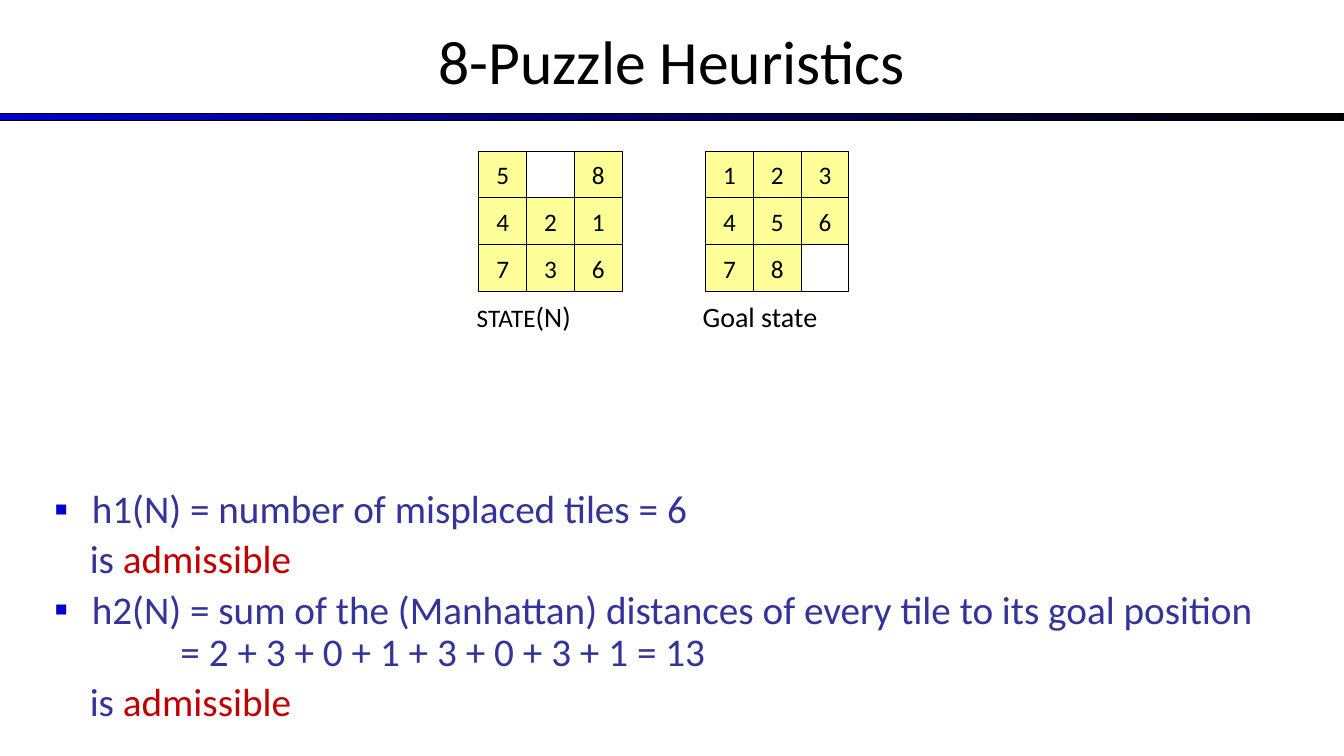
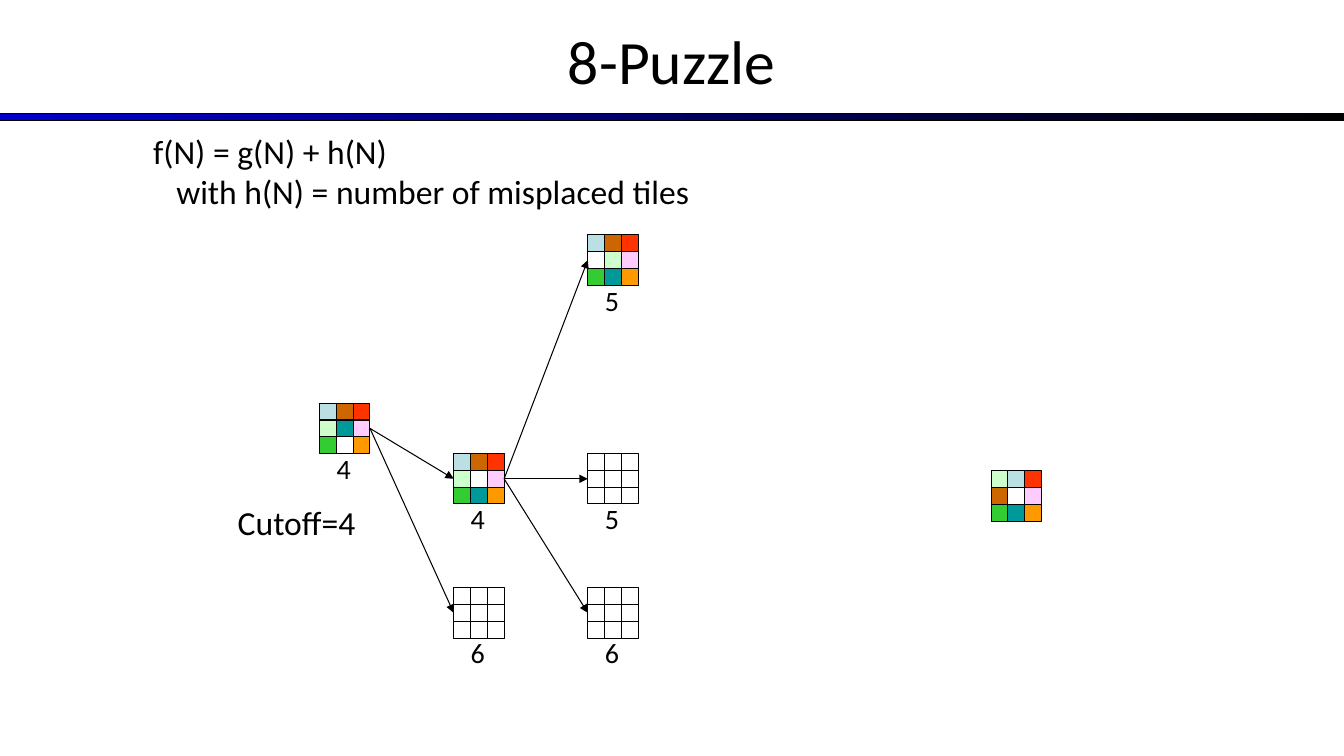
from lxml import etree
from pptx import Presentation
from pptx.dml.color import RGBColor
from pptx.enum.shapes import MSO_CONNECTOR, MSO_SHAPE
from pptx.enum.text import MSO_ANCHOR, MSO_AUTO_SIZE, PP_ALIGN
from pptx.oxml.ns import qn
from pptx.util import Inches, Pt

RECTANGLE = MSO_SHAPE.RECTANGLE
STRAIGHT = MSO_CONNECTOR.STRAIGHT
MIDDLE = MSO_ANCHOR.MIDDLE
CENTER = PP_ALIGN.CENTER
NO_AUTOFIT = MSO_AUTO_SIZE.NONE
LEFT_SIDE, RIGHT_SIDE = 1, 3


class Theme:
    font = "Calibri"
    black = RGBColor.from_string("000000")
    white = RGBColor.from_string("FFFFFF")
    blue = RGBColor.from_string("0000CC")
    indigo = RGBColor.from_string("333399")
    red = RGBColor.from_string("C00000")
    yellow = RGBColor.from_string("FFFF99")
    tiles = {
        "S": RGBColor.from_string("BBE0E3"),
        "B": RGBColor.from_string("CC6600"),
        "R": RGBColor.from_string("FF3300"),
        "M": RGBColor.from_string("CCFFCC"),
        "T": RGBColor.from_string("009999"),
        "P": RGBColor.from_string("FFCCFF"),
        "G": RGBColor.from_string("33CC33"),
        "O": RGBColor.from_string("FF9900"),
    }
    title_size = 44
    body_size = 28
    formula_size = 24
    label_size = 20
    tile_size = 18
    line_width = Pt(0.75)


def write(para, text, size=Theme.label_size, color=Theme.black):
    span = para.add_run()
    span.text = text
    span.font.name = Theme.font
    span.font.size = Pt(size)
    span.font.color.rgb = color


def draw_board(page, left, top, width, height, rows):
    """Draw a grouped board and return its tiles row by row.

    Digits are numbered tiles, letters are coloured tiles, a dot is the blank.
    """
    group = page.shapes.add_group_shape()
    tile_width, tile_height = width / 3, height / 3
    board = []
    for row, symbols in enumerate(rows):
        board.append([])
        for column, symbol in enumerate(symbols):
            tile = group.shapes.add_shape(
                RECTANGLE,
                Inches(left + column * tile_width), Inches(top + row * tile_height),
                Inches(tile_width), Inches(tile_height))
            tile.shadow.inherit = False
            tile.line.color.rgb = Theme.black
            tile.line.width = Theme.line_width
            tile.fill.solid()
            tile.fill.fore_color.rgb = Theme.tiles.get(symbol, Theme.white)
            if symbol.isdigit():
                tile.fill.fore_color.rgb = Theme.yellow
                tile.text_frame.vertical_anchor = MIDDLE
                para = tile.text_frame.paragraphs[0]
                para.alignment = CENTER
                write(para, symbol, size=Theme.tile_size)
            board[-1].append(tile)
    return board


deck = Presentation()
deck.slide_width, deck.slide_height = Inches(13.33), Inches(7.5)
content_layout, title_layout = deck.slide_layouts[1], deck.slide_layouts[5]

pages = []
for layout, heading in ((content_layout, "8-Puzzle Heuristics"), (title_layout, "8-Puzzle")):
    page = deck.slides.add_slide(layout)
    title = page.shapes.title
    title.left, title.top = Inches(0), Inches(-0.03)
    title.width, title.height = Inches(13.33), Inches(1.25)
    title.text_frame.vertical_anchor = MIDDLE
    para = title.text_frame.paragraphs[0]
    para.alignment = CENTER
    write(para, heading, size=Theme.title_size)
    pages.append(page)
heuristics_page, search_page = pages

# The band is moved to the master, so every page shows it.
band = heuristics_page.shapes.add_shape(
    RECTANGLE, Inches(0), Inches(1.13), Inches(13.33), Inches(0.07))
band.shadow.inherit = False
band.fill.gradient()
band.fill.gradient_angle = 0
for stop, color in zip(band.fill.gradient_stops, (Theme.blue, Theme.black)):
    stop.color.rgb = color
band.line.color.rgb = Theme.black
band.line.width = Theme.line_width
deck.slide_master.shapes.element.insert(2, band.element)

# Heuristics: two numbered boards and the list
for left, rows in ((4.75, ("5.8", "421", "736")), (7, ("123", "456", "78."))):
    draw_board(heuristics_page, left, 1.5, 1.42, 1.39, rows)

body = heuristics_page.placeholders[1]
body.left, body.top = Inches(0.44), Inches(4.81)
body.width, body.height = Inches(12.44), Inches(2.41)
frame = body.text_frame
frame.auto_size = NO_AUTOFIT
admissible = (("is ", Theme.indigo), ("admissible", Theme.red))
items = (
    # bullet, indent, space before, spans
    (True, 0.37, 0, (("h1(N) = number of misplaced tiles = 6", Theme.indigo),)),
    (False, 0.35, 5.6, admissible),
    (True, 0.37, 5.6, (("h2(N) = sum of the (Manhattan) distances of every tile "
                        "to its goal position", Theme.indigo),)),
    (False, 1.25, 0, (("= 2 + 3 + 0 + 1 + 3 + 0 + 3 + 1 = 13", Theme.indigo),)),
    (False, 0.35, 5.6, admissible),
)
for index, (bullet, indent, space, spans) in enumerate(items):
    para = frame.add_paragraph() if index else frame.paragraphs[0]
    properties = para._p.get_or_add_pPr()
    properties.set("marL", str(Inches(indent)))
    properties.set("indent", str(-Inches(indent) if bullet else 0))
    if bullet:
        bullet_color = etree.SubElement(properties, qn("a:buClr"))
        etree.SubElement(bullet_color, qn("a:srgbClr"), val=str(Theme.blue))
        etree.SubElement(properties, qn("a:buFont"), typeface=Theme.font)
        etree.SubElement(properties, qn("a:buChar"), char="▪")
    else:
        etree.SubElement(properties, qn("a:buNone"))
    para.line_spacing = 0.9
    para.space_before = Pt(space)
    for text, color in spans:
        write(para, text, size=Theme.body_size, color=color)

# Search: boards of the tree, each with its cost, joined to its parent
nodes = (
    # name, parent, left, top, cost, rows
    ("root", None, 3.17, 4, "4", ("SBR", "MTP", "G.O")),
    ("goal", None, 9.83, 4.67, None, ("MSR", "B.P", "GTO")),
    ("up", "root", 4.5, 4.5, "4", ("SBR", "M.P", "GTO")),
    ("left", "root", 4.5, 5.83, "6", ("...",) * 3),
    ("up down", "up", 5.83, 5.83, "6", ("...",) * 3),
    ("up right", "up", 5.83, 4.5, "5", ("...",) * 3),
    ("up left", "up", 5.83, 2.33, "5", ("SBR", ".MP", "GTO")),
)
labels = [
    # page, left, top, width, height, lines of (indent, spans of (text, size))
    (heuristics_page, 4.63, 2.92, 1.38, 0.43,
     [(0, [("STATE", Theme.tile_size), ("(N)", Theme.label_size)])]),
    (heuristics_page, 6.87, 2.92, 1.62, 0.43, [(0, [("Goal state", Theme.label_size)])]),
    (search_page, 2.26, 4.93, 1.7, 0.5, [(0, [("Cutoff=4", Theme.formula_size)])]),
    (search_page, 1.42, 1.25, 6.89, 0.9,
     [(0, [("f(N) = g(N) + h(N)", Theme.formula_size)]),
      (0.23, [("with h(N) = number of misplaced tiles", Theme.formula_size)])]),
]
boards = {}
for name, parent, left, top, cost, rows in nodes:
    boards[name] = draw_board(search_page, left, top, 0.5, 0.5, rows)
    if cost:
        labels.append((search_page, left + 0.07, top + 0.43, 0.37, 0.43,
                       [(0, [(cost, Theme.label_size)])]))
    if parent:
        arrow = search_page.shapes.add_connector(STRAIGHT, 0, 0, 0, 0)
        arrow.begin_connect(boards[parent][1][2], RIGHT_SIDE)
        arrow.end_connect(boards[name][1][0], LEFT_SIDE)
        arrow.line.color.rgb = Theme.black
        arrow.line.width = Theme.line_width
        properties = arrow.element.spPr
        etree.SubElement(properties.find(qn("a:ln")), qn("a:tailEnd"), type="triangle")
        etree.SubElement(properties, qn("a:effectLst"))

for page, left, top, width, height, lines in labels:
    box = page.shapes.add_textbox(Inches(left), Inches(top), Inches(width), Inches(height))
    frame = box.text_frame
    frame.word_wrap = True
    for index, (indent, spans) in enumerate(lines):
        para = frame.add_paragraph() if index else frame.paragraphs[0]
        if indent:
            para._p.get_or_add_pPr().set("marL", str(Inches(indent)))
        for text, size in spans:
            write(para, text, size=size)

deck.save("out.pptx")
